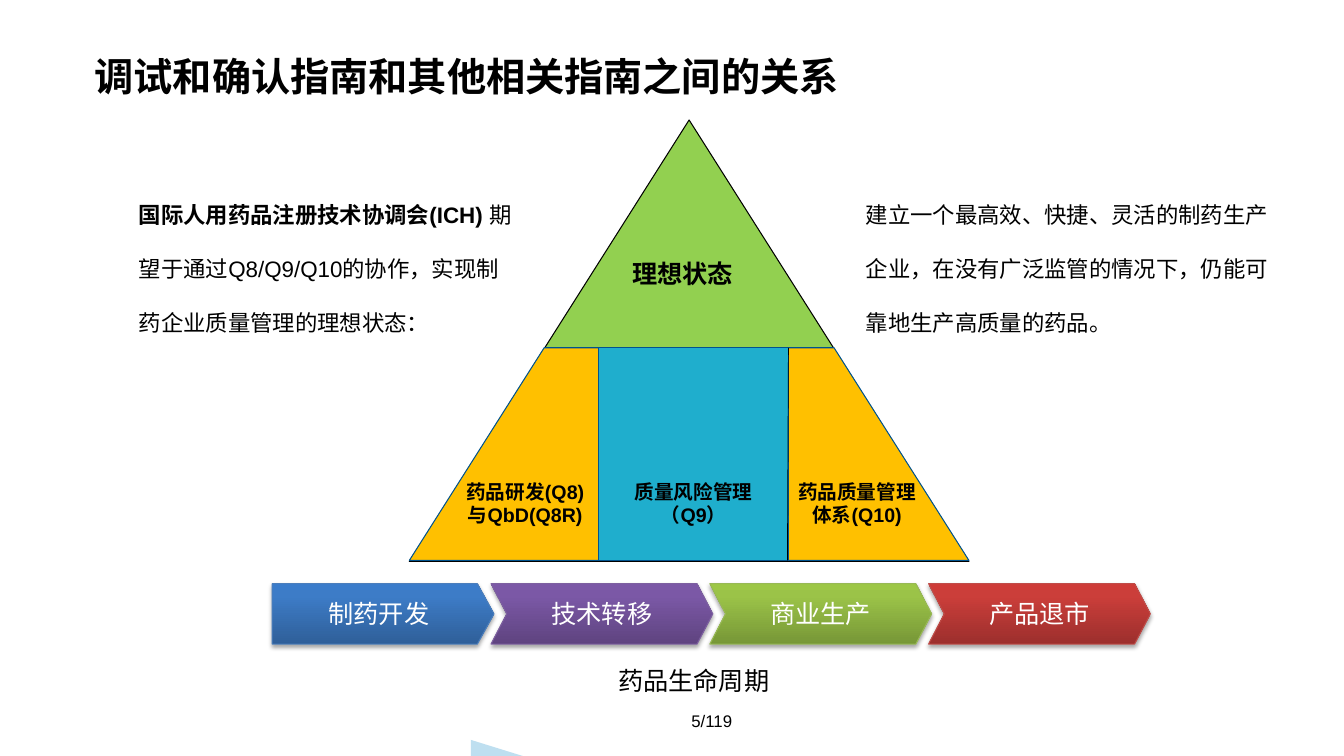
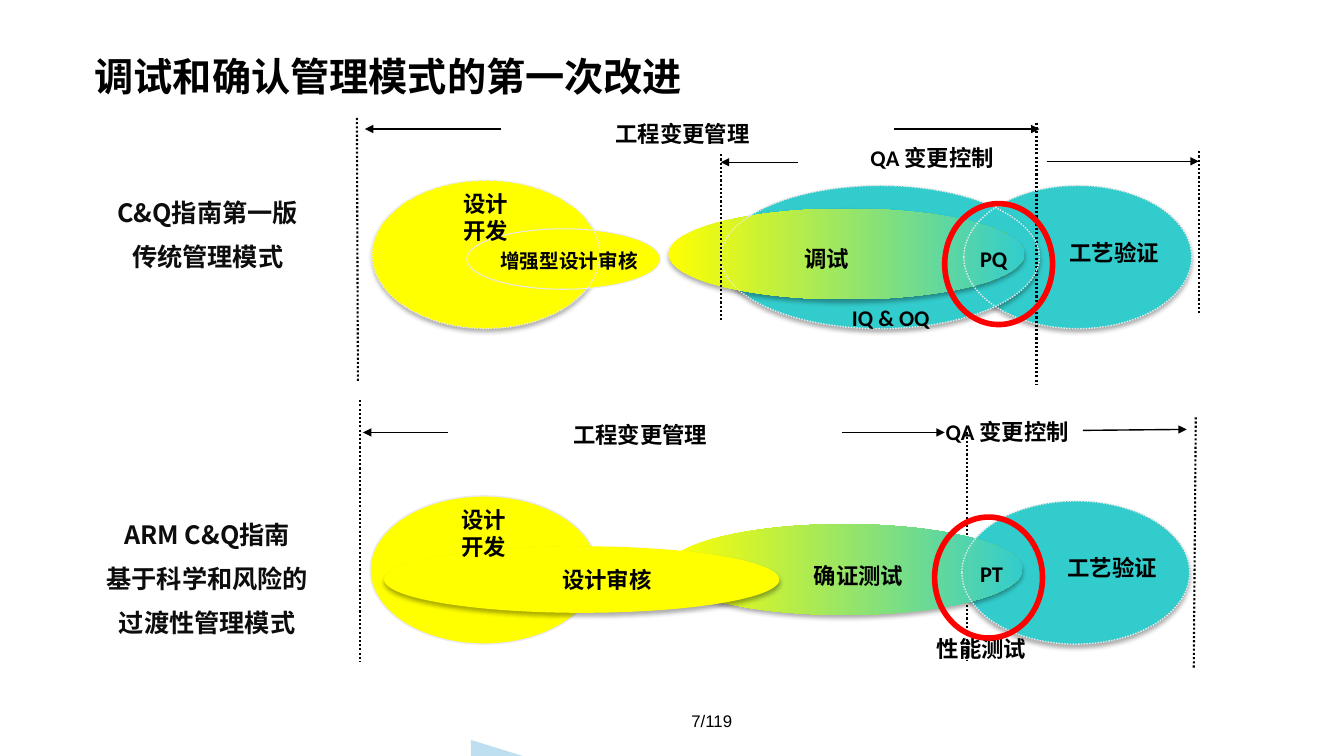
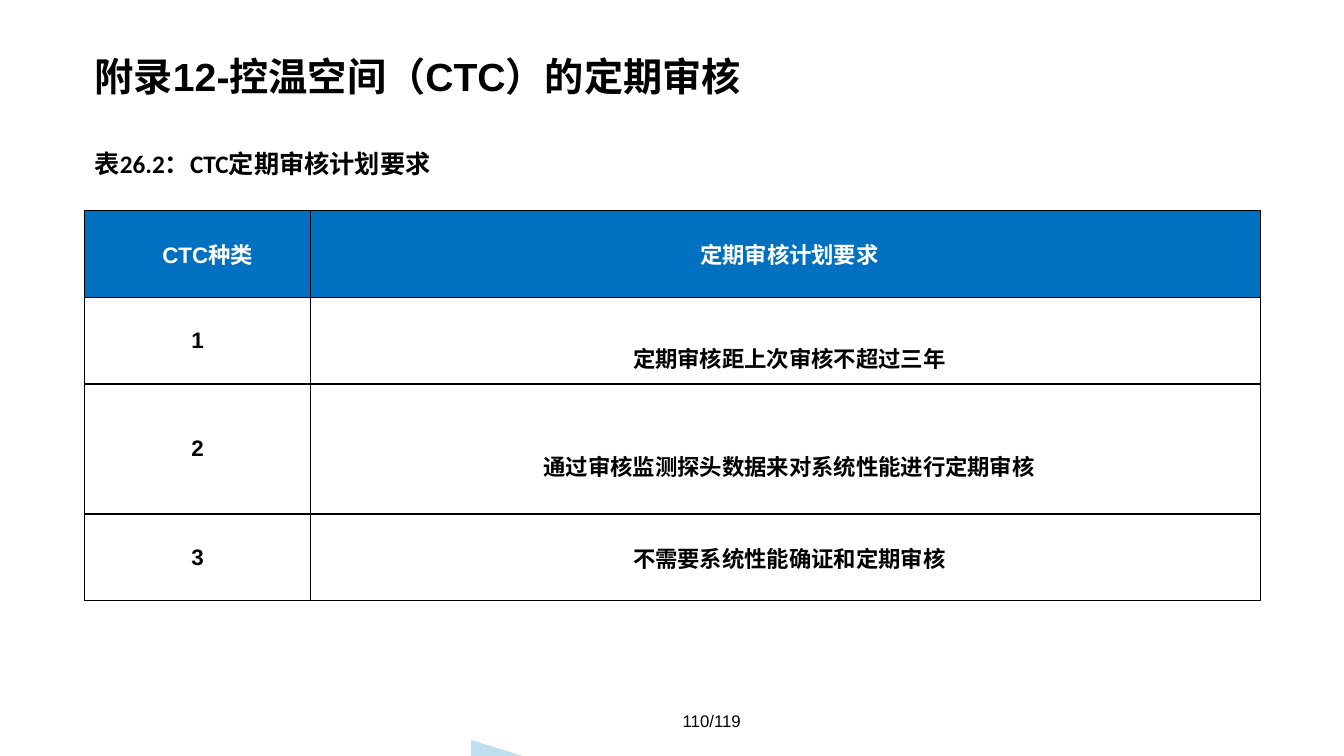
from lxml import etree
from pptx import Presentation
from pptx import util as u
from pptx.dml.color import RGBColor
from pptx.enum import dml, shapes, text
from pptx.oxml.ns import qn


class Theme:
    sans, cjk, body = "Arial", "Noto Sans CJK SC", "Calibri"
    title, large, medium, small, footer = 28, 18, 16, 14, 12
    black, white, ink, corner = "000000", "FFFFFF", "0D0D0D", "BEDFF0"
    green, amber, blue, navy = "92D050", "FFC000", "1FAECD", "00538E"
    yellow, teal, pale, red, header = "FFFF00", "33CCCC", "EAEAEA", "FF0000", "0070C0"
    stage_shadow = (35, 3.1, 1.8)
    oval_shadow = (32, 3.5, 2.2)


KIND = shapes.MSO_SHAPE
CENTER, LEFT = text.PP_ALIGN.CENTER, text.PP_ALIGN.LEFT

GUIDELINES = {
    "title": "调试和确认指南和其他相关指南之间的关系",
    "page": "5/119",
    "goal": "理想状态",
    "pillars": [
        ((4.49, 4.71, 1.44, 0.57), ["药品研发(Q8)与QbD(Q8R)"]),
        ((6.02, 4.71, 1.72, 0.57), ["质量风险管理", "（Q9）"]),
        ((7.81, 4.71, 1.38, 0.57), ["药品质量管理", "体系(Q10)"]),
    ],
    "stages": [
        ("制药开发", ("2F5F99", "3D7CC7", "3A7CCB"), "4B7EBC"),
        ("技术转移", ("5F4480", "7B58A6", "7C57A8"), "7D60A0"),
        ("商业生产", ("779737", "9BC348", "9DC746"), "98B955"),
        ("产品退市", ("9C2F2D", "CB3E3A", "CE3B37"), "BF4C48"),
    ],
    "cycle": "药品生命周期",
    "body": "国际人用药品注册技术协调会(ICH) ",
    "hope": "期望于通过Q8/Q9/Q10的协作，实现制药企业质量管理的理想状态：",
    "vision": "建立一个最高效、快捷、灵活的制药生产企业，在没有广泛监管的情况下，仍能可靠地生产高质量的药品。",
}

VALIDATION = (9.56, 1.84, 2.26, 1.42)
QUALIFICATION = (7.15, 1.84, 3.16, 1.42)
DESIGN = (3.69, 1.79, 2.26, 1.47)
COMMISSIONING = (6.63, 2.07, 3.53, 0.9)
VALIDATION_LABEL = (10.37, 2.32, 1.36, 0.38)
DESIGN_LABEL = (3.86, 1.84, 1.91, 0.65)
TEST_LABEL = (9.48, 2.38, 0.75, 0.38)

MODELS = {
    "title": "调试和确认管理模式的第一次改进",
    "page": "7/119",
    "modes": [
        {
            "name": ((0.57, 1.94, 2.98, 0.9), ["C&Q指南第一版", "传统管理模式"]),
            "shift": (0, 0),
            "back": [("solid", DESIGN, Theme.yellow), ("solid", QUALIFICATION, Theme.teal)],
            "front": [
                ("dotted", QUALIFICATION),
                ("rimmed", (4.63, 2.27, 1.92, 0.6), Theme.yellow, 0.75),
                ("dotted", DESIGN),
            ],
            "guides": [
                ((3.54, 1.17), (3.55, 3.78)),
                ((10.28, 1.22), (10.28, 3.82)),
                ((11.89, 1.5), (11.89, 3.11)),
            ],
            "front_guides": [((7.15, 1.53), (7.15, 3.19))],
            "arrows": [
                ((8.87, 1.28), (10.31, 1.28)),
                ((4.97, 1.28), (3.62, 1.28)),
                ((10.38, 1.6), (11.89, 1.6)),
                ((7.91, 1.61), (7.15, 1.61)),
            ],
            "labels": [
                ((5.81, 1.14, 1.92, 0.38), "工程变更管理"),
                ((7.89, 1.38, 2.71, 0.38), "QA 变更控制"),
                ((8.13, 2.97, 1.41, 0.38), "IQ & OQ"),
                ((7.22, 2.38, 1.96, 0.38), "调试"),
                ((4.63, 2.42, 2.03, 0.34), "增强型设计审核", Theme.small),
            ],
            "test": "PQ",
            "ring": (9.37, 2.02, 1.07, 1.2),
        },
        {
            "name": ((0.55, 5.14, 3.01, 1.21), ["ARM C&Q指南", "基于科学和风险的", "过渡性管理模式"]),
            "shift": (-0.02, 3.13),
            "back": [("rimmed", (3.67, 4.92, 2.26, 1.47), Theme.yellow, 1)],
            "front": [("solid", (3.81, 5.42, 3.92, 0.66), Theme.yellow)],
            "guides": [
                ((3.57, 3.97), (3.57, 6.57)),
                ((9.59, 4.29), (9.59, 6.56)),
                ((11.86, 4.14), (11.84, 6.64)),
            ],
            "front_guides": [],
            "arrows": [
                ((8.35, 4.29), (9.37, 4.29)),
                ((4.44, 4.29), (3.6, 4.29)),
                ((10.74, 4.27), (11.77, 4.26)),
            ],
            "labels": [
                ((4.4, 4.13, 3.9, 0.38), "工程变更管理"),
                ((9.28, 4.1, 1.95, 0.38), "QA 变更控制", Theme.medium, LEFT),
                ((8.86, 6.25, 1.75, 0.38), "性能测试"),
                ((7.76, 5.53, 1.51, 0.38), "确证测试"),
                ((4.94, 5.57, 2.16, 0.38), "设计审核"),
            ],
            "test": "PT",
            "ring": (9.27, 5.13, 1.07, 1.2),
        },
    ],
}

REVIEW = {
    "title": "附录12-控温空间（CTC）的定期审核",
    "page": "110/119",
    "caption": "表26.2：CTC定期审核计划要求",
    "columns": (2.24, 9.42),
    "heights": (0.86, 0.86, 1.29, 0.86),
    "rows": [
        ("CTC种类", "定期审核计划要求"),
        ("1", "定期审核距上次审核不超过三年"),
        ("2", "通过审核监测探头数据来对系统性能进行定期审核"),
        ("3", "不需要系统性能确证和定期审核"),
    ],
    "lowered": {(1, 1), (2, 1)},
}


def rgb(value):
    return RGBColor.from_string(value)


def inches(values):
    return [u.Inches(v) for v in values]


def add_node(parent, tag, **attributes):
    return etree.SubElement(parent, qn(tag), {k: str(v) for k, v in attributes.items()})


def style_run(run, size, font, color, bold):
    run.font.size, run.font.name, run.font.bold = u.Pt(size), font, bold
    run.font.color.rgb = rgb(color)
    add_node(run.font._element, "a:ea", typeface=Theme.cjk)


def write(frame, lines, size, font=Theme.body, color=Theme.black, bold=True,
          align=CENTER, spacing=None, after=None, anchor=text.MSO_ANCHOR.TOP):
    frame.text = "\n".join(lines)
    frame.word_wrap = True
    frame.vertical_anchor = anchor
    for paragraph in frame.paragraphs:
        paragraph.alignment = align
        paragraph.line_spacing = spacing
        paragraph.space_after = after
        for run in paragraph.runs:
            style_run(run, size, font, color, bold)


def add_label(slide, box, lines, size, **style):
    frame = slide.shapes.add_textbox(*inches(box)).text_frame
    write(frame, lines, size, **style)
    return frame


def set_gradient(shape, stops, angle):
    shape.fill.gradient()
    shape.fill.gradient_angle = angle
    stop_list = shape._element.spPr.find(".//" + qn("a:gsLst"))
    for stop in list(stop_list):
        stop_list.remove(stop)
    for position, color in stops:
        stop = add_node(stop_list, "a:gs", pos=position * 1000)
        add_node(stop, "a:srgbClr", val=color)


def add_figure(slide, kind, box, fill=None, line=None, width=0, shadow=None, adjust=None):
    figure = slide.shapes.add_shape(kind, *inches(box))
    if adjust is not None:
        figure.adjustments[0] = adjust
    if fill:
        figure.fill.solid()
        figure.fill.fore_color.rgb = rgb(fill)
    else:
        figure.fill.background()
    if line:
        figure.line.color.rgb = rgb(line)
        figure.line.width = u.Pt(width)
    else:
        figure.line.fill.background()
    figure.shadow.inherit = False
    if shadow:
        alpha, blur, distance = shadow
        effects = figure._element.spPr.find(qn("a:effectLst"))
        outer = add_node(effects, "a:outerShdw", blurRad=u.Pt(blur), dist=u.Pt(distance),
                         dir=5400000, algn="ctr", rotWithShape=0)
        add_node(add_node(outer, "a:srgbClr", val=Theme.black), "a:alpha", val=alpha * 1000)
    return figure


def add_line(slide, start, end, width, dotted=False, arrow=False):
    line = slide.shapes.add_connector(shapes.MSO_CONNECTOR.STRAIGHT, *inches(start + end))
    line.line.color.rgb = rgb(Theme.black)
    line.line.width = u.Pt(width)
    if dotted:
        line.line.dash_style = dml.MSO_LINE.ROUND_DOT
    if arrow:
        add_node(line.line._get_or_add_ln(), "a:tailEnd", type="triangle")
    add_node(line._element.spPr, "a:effectLst")


def add_oval(slide, style, box, fill=None, width=1):
    if style == "solid":
        return add_figure(slide, KIND.OVAL, box, fill, shadow=Theme.oval_shadow)
    oval = add_figure(slide, KIND.OVAL, box, fill, Theme.pale, width)
    if style == "dotted":
        oval.line.dash_style = dml.MSO_LINE.ROUND_DOT
    return oval


def start_slide(deck, content, font=Theme.sans):
    slide = deck.slides.add_slide(deck.slide_layouts[6])
    add_figure(slide, KIND.RIGHT_TRIANGLE, (4.67, 7.34, 0.58, 0.18), Theme.corner)
    middle = text.MSO_ANCHOR.MIDDLE
    add_label(slide, (0.84, 0.43, 11.65, 0.71), [content["title"]], Theme.title,
              font=font, align=LEFT, spacing=0.9, anchor=middle)
    add_label(slide, (5.56, 6.95, 3, 0.4), [content["page"]], Theme.footer,
              font=Theme.sans, bold=False, anchor=middle)
    return slide


def build_guidelines(deck):
    content = GUIDELINES
    slide = start_slide(deck, content)
    add_figure(slide, KIND.ISOSCELES_TRIANGLE, (4.06, 1.19, 5.55, 4.38), Theme.green, Theme.black)
    add_figure(slide, KIND.TRAPEZOID, (4.06, 3.45, 5.55, 2.11), Theme.amber, Theme.navy, adjust=0.634)
    add_figure(slide, KIND.RECTANGLE, (5.94, 3.45, 1.88, 2.11), Theme.blue, Theme.navy)
    add_line(slide, (7.82, 3.45), (7.81, 5.56), 0.5)
    add_label(slide, (6.17, 2.51, 1.25, 0.4), [content["goal"]], Theme.large,
              font=Theme.cjk, align=LEFT)
    for box, lines in content["pillars"]:
        add_label(slide, box, lines, Theme.small, font=Theme.sans)

    for index, (name, colors, edge) in enumerate(content["stages"]):
        kind, adjust = (KIND.CHEVRON, 0.261) if index else (KIND.PENTAGON, 0.275)
        stage = add_figure(slide, kind, (2.7 + index * 2.17, 5.79, 2.2, 0.6), None,
                           edge, 0.75, Theme.stage_shadow, adjust)
        set_gradient(stage, zip((0, 80, 100), colors), 90)
        write(stage.text_frame, [name], Theme.large, color=Theme.white, bold=False,
              anchor=text.MSO_ANCHOR.MIDDLE)
    add_label(slide, (6.02, 6.55, 1.72, 0.4), [content["cycle"]], Theme.large,
              font=Theme.cjk, bold=False)

    intro = add_label(slide, (1.28, 1.68, 3.94, 1.72), [content["body"]], Theme.medium,
                      font=Theme.sans, align=LEFT, spacing=2)
    hope = intro.paragraphs[0].add_run()
    hope.text = content["hope"]
    style_run(hope, Theme.medium, Theme.sans, Theme.black, False)
    add_label(slide, (8.49, 1.68, 4.29, 1.72), [content["vision"]], Theme.medium,
              font=Theme.sans, bold=False, align=LEFT, spacing=2)


def build_mode(slide, mode):
    dx, dy = mode["shift"]

    def moved(box):
        left, top, width, height = box
        return left + dx, top + dy, width, height

    box, lines = mode["name"]
    add_label(slide, box, lines, Theme.large, font=Theme.cjk, color=Theme.ink,
              spacing=0.9, after=u.Pt(12))
    add_oval(slide, "solid", moved(VALIDATION), Theme.teal)
    for oval in mode["back"]:
        add_oval(slide, *oval)
    for start, end in mode["guides"]:
        add_line(slide, start, end, 1.5, dotted=True)
    commissioning = add_oval(slide, "solid", moved(COMMISSIONING), Theme.yellow)
    set_gradient(commissioning, [(0, Theme.yellow), (100, Theme.teal)], 0)
    add_oval(slide, "dotted", moved(VALIDATION))
    for oval in mode["front"]:
        add_oval(slide, *oval)
    for start, end in mode["front_guides"]:
        add_line(slide, start, end, 1.5, dotted=True)
    for start, end in mode["arrows"]:
        add_line(slide, start, end, 1, arrow=True)

    for box, label, *style in mode["labels"]:
        size, align = (style + [Theme.medium, CENTER][len(style):])
        add_label(slide, box, [label], size, align=align)
    for box, lines in [(VALIDATION_LABEL, ["工艺验证"]), (DESIGN_LABEL, ["设计", "开发"]),
                       (TEST_LABEL, [mode["test"]])]:
        add_label(slide, moved(box), lines, Theme.medium)
    add_figure(slide, KIND.OVAL, mode["ring"], None, Theme.red, 4)


def build_models(deck):
    slide = start_slide(deck, MODELS, Theme.cjk)
    for mode in MODELS["modes"]:
        build_mode(slide, mode)


def add_borders(cell):
    properties = cell._tc.get_or_add_tcPr()
    for side in ("a:lnL", "a:lnR", "a:lnT", "a:lnB"):
        border = add_node(properties, side, w=u.Pt(1))
        add_node(add_node(border, "a:solidFill"), "a:srgbClr", val=Theme.black)


def build_review(deck):
    content = REVIEW
    slide = start_slide(deck, content)
    add_label(slide, (0.84, 1.27, 11.76, 0.5), [content["caption"]], Theme.large,
              align=LEFT, spacing=1.5)
    columns, heights = content["columns"], content["heights"]
    box = (0.84, 2.09, sum(columns), sum(heights))
    plan = slide.shapes.add_table(len(heights), len(columns), *inches(box)).table
    plan.first_row = plan.horz_banding = False
    for column, width in zip(plan.columns, columns):
        column.width = u.Inches(width)
    for r, (height, row) in enumerate(zip(heights, content["rows"])):
        plan.rows[r].height = u.Inches(height)
        for c, entry in enumerate(row):
            cell = plan.cell(r, c)
            indent = 0.08 if c else 0 if r else 0.2
            cell.margin_left = u.Inches(indent)
            cell.margin_top = u.Inches(0.34 if (r, c) in content["lowered"] else 0)
            cell.margin_right = cell.margin_bottom = 0
            add_borders(cell)
            cell.fill.solid()
            cell.fill.fore_color.rgb = rgb(Theme.white if r else Theme.header)
            write(cell.text_frame, [entry], Theme.medium, font=Theme.sans,
                  color=Theme.black if r else Theme.white)
            cell.vertical_anchor = text.MSO_ANCHOR.MIDDLE


def main():
    deck = Presentation()
    deck.slide_width, deck.slide_height = inches((13.33, 7.5))
    for build in (build_guidelines, build_models, build_review):
        build(deck)
    deck.save("out.pptx")


if __name__ == "__main__":
    main()
